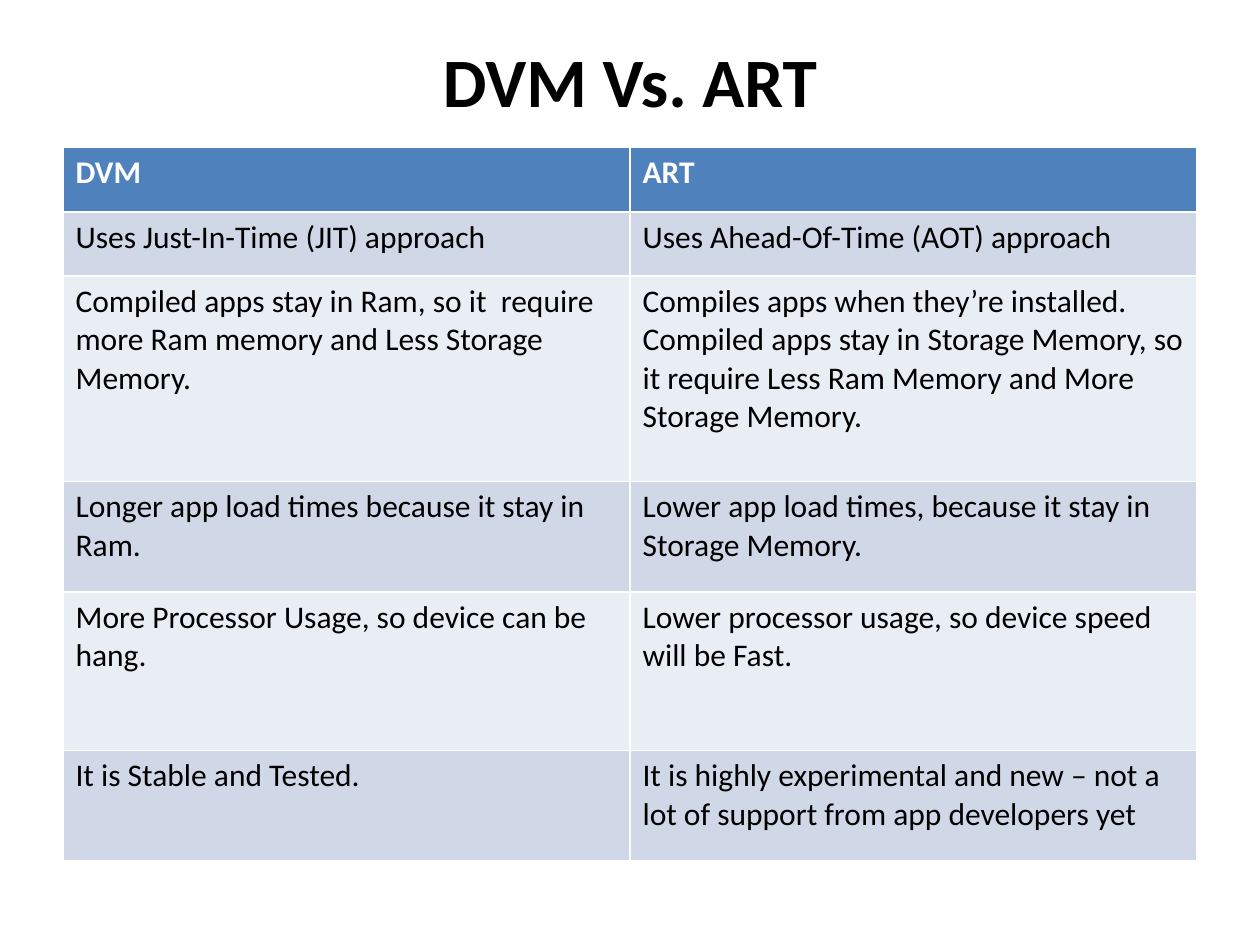
"""Builds a slide with a table that compares DVM with ART."""
from pptx import Presentation
from pptx.dml.color import RGBColor
from pptx.enum.text import MSO_ANCHOR, PP_ALIGN
from pptx.util import Pt

COLORS = {
    "head": "4F81BD",
    "dark": "D0D8E8",
    "light": "E9EDF4",
    "text": "000000",
    "white": "FFFFFF",
}
ROWS = [
    (36.7, "DVM", "ART"),
    (36.7, "Uses Just-In-Time (JIT) approach",
     "Uses Ahead-Of-Time (AOT) approach"),
    (117.4, "Compiled apps stay in Ram, so it  require more Ram memory "
     "and Less Storage Memory.",
     "Compiles apps when they’re installed. Compiled apps stay in Storage "
     "Memory, so it require Less Ram Memory and More Storage Memory."),
    (63.2, "Longer app load times because it stay in Ram.",
     "Lower app load times, because it stay in Storage Memory."),
    (90.6, "More Processor Usage, so device can be hang.",
     "Lower processor usage, so device speed will be Fast."),
    (63.2, "It is Stable and Tested.",
     "It is highly experimental and new – not a lot of support from app "
     "developers yet"),
]


class Deck:
    def __init__(self, width, height, face):
        self.prs = Presentation()
        self.prs.slide_width, self.prs.slide_height = Pt(width), Pt(height)
        self.face = face
        self.slide = self.prs.slides.add_slide(self.prs.slide_layouts[5])

    def style(self, para, size, color, bold):
        font = para.font
        font.name, font.size, font.bold = self.face, Pt(size), bold
        font.color.rgb = RGBColor.from_string(COLORS[color])

    def title(self, text, left, top, width, height):
        shape = self.slide.shapes.title
        shape.left, shape.top = Pt(left), Pt(top)
        shape.width, shape.height = Pt(width), Pt(height)
        frame = shape.text_frame
        frame.text = text
        frame.vertical_anchor = MSO_ANCHOR.TOP
        frame.margin_top = 0
        para = frame.paragraphs[0]
        para.alignment = PP_ALIGN.CENTER
        self.style(para, 39.6, "text", True)

    def table(self, rows, left, top, width):
        total = sum(row[0] for row in rows)
        table = self.slide.shapes.add_table(
            len(rows), 2, Pt(left), Pt(top), Pt(width), Pt(total)).table
        for r, (height, *texts) in enumerate(rows):
            table.rows[r].height = Pt(height)
            fill = "head" if r == 0 else "dark" if r % 2 else "light"
            color = "text" if r else "white"
            for c, text in enumerate(texts):
                cell = table.cell(r, c)
                cell.text = text
                cell.fill.solid()
                cell.fill.fore_color.rgb = RGBColor.from_string(COLORS[fill])
                self.style(cell.text_frame.paragraphs[0], 18, color, r == 0)


def main():
    deck = Deck(720, 540, "Calibri")
    deck.title("DVM Vs. ART", 36, 21.6, 648, 90)
    deck.table(ROWS, 36, 84.4, 648)
    deck.prs.save("out.pptx")


if __name__ == "__main__":
    main()
